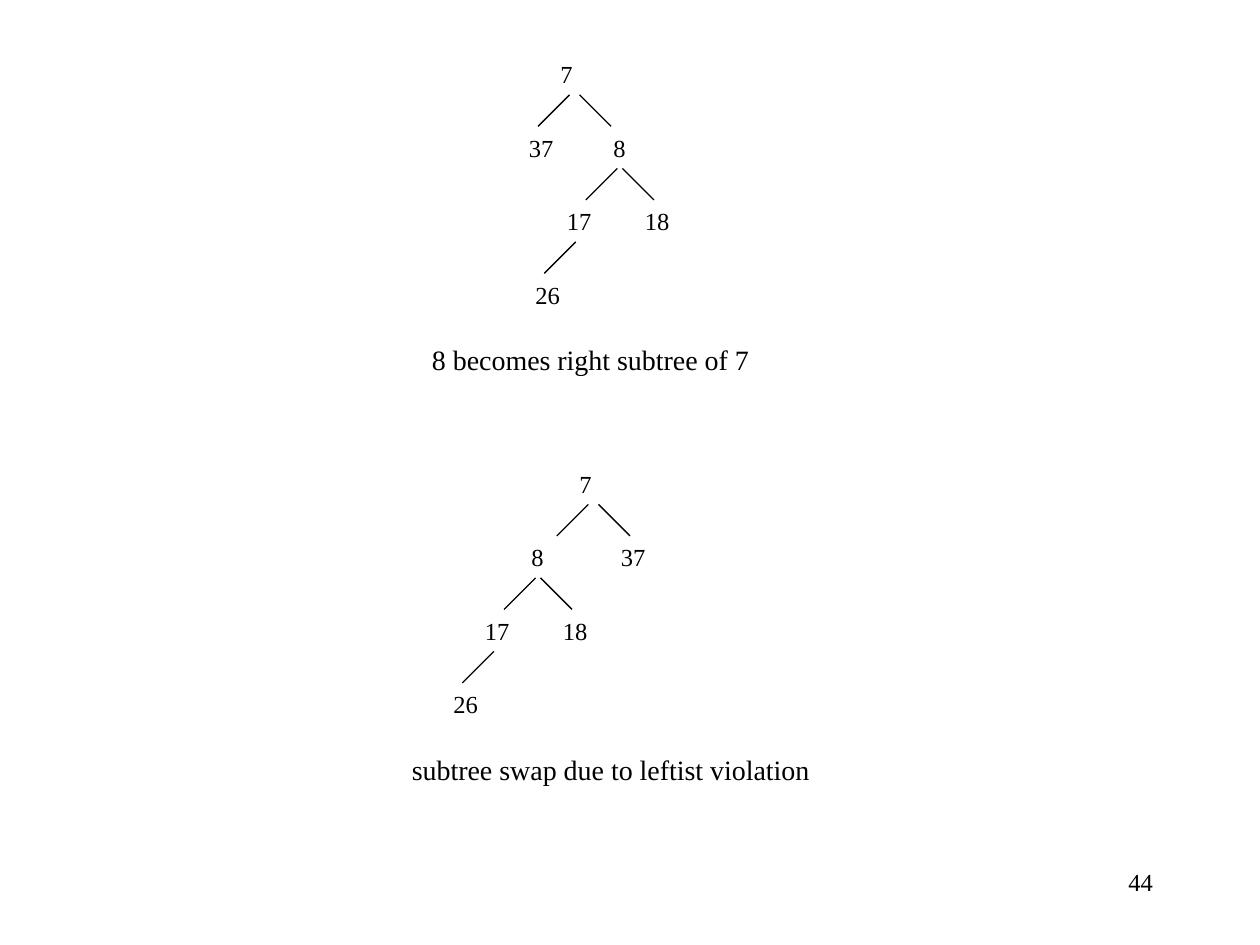
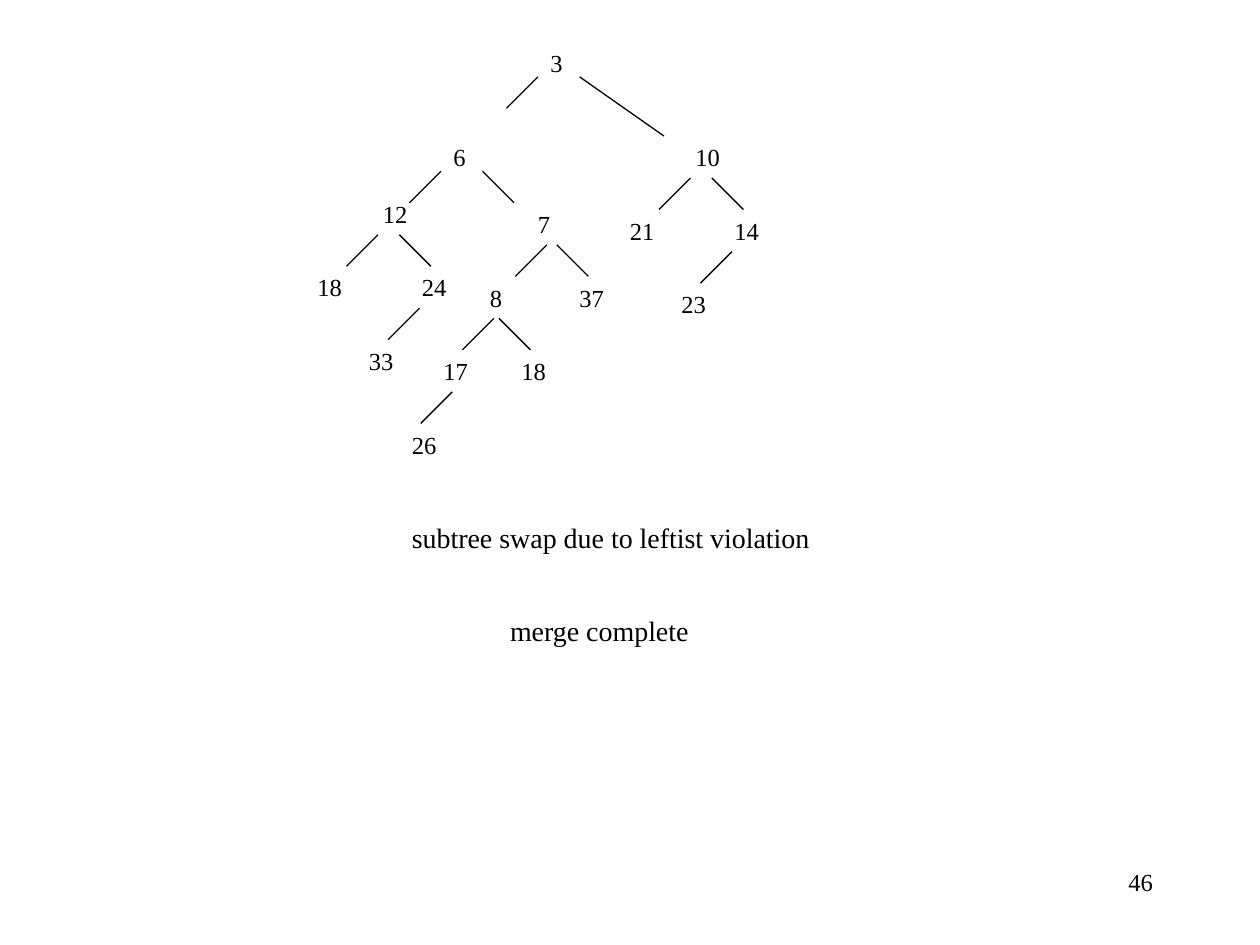
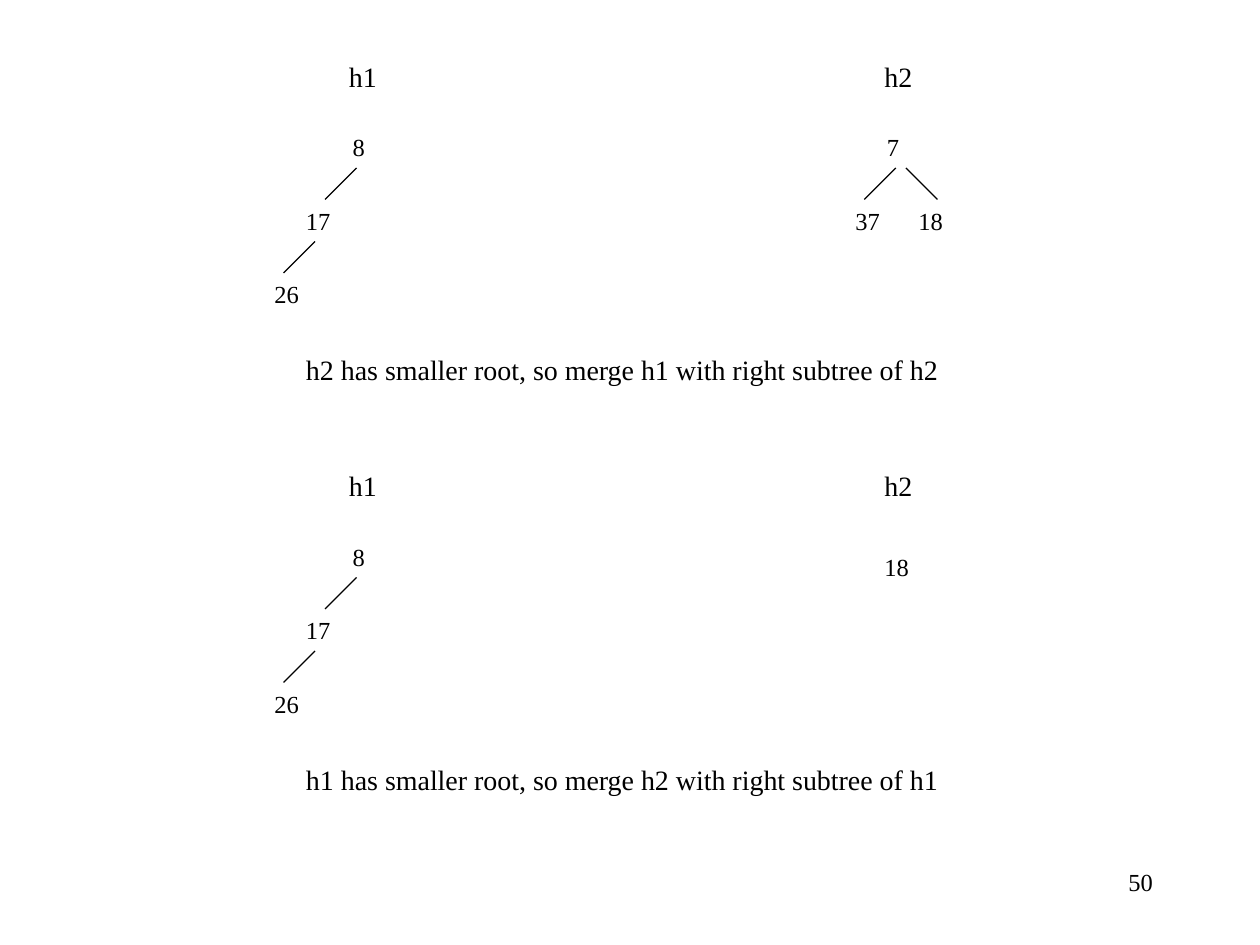
from dataclasses import dataclass

from pptx import Presentation
from pptx.dml.color import RGBColor
from pptx.enum.shapes import MSO_CONNECTOR
from pptx.enum.text import MSO_ANCHOR, MSO_AUTO_SIZE, PP_ALIGN
from pptx.oxml.ns import qn
from pptx.util import Inches, Pt

# Shared style
BLACK = RGBColor(0, 0, 0)
WHITE = RGBColor(255, 255, 255)
FONT = "Times New Roman"
NODE_SIZE = 14
CAPTION_SIZE = 16
STRAIGHT = MSO_CONNECTOR.STRAIGHT
LEFT, RIGHT = PP_ALIGN.LEFT, PP_ALIGN.RIGHT
TOP = MSO_ANCHOR.TOP
FIT_SHAPE, NO_FIT = MSO_AUTO_SIZE.SHAPE_TO_FIT_TEXT, MSO_AUTO_SIZE.NONE

# Tree geometry in inches
LEVEL = 7 / 12        # from one level of labels to the next
LABEL_HEIGHT = 1 / 3
EDGE_RUN = 0.25       # width and height of a usual edge
LOWER_HALF = 3.25     # offset of the second step on a slide


@dataclass
class Node:
    key: int
    branches: tuple = ()


@dataclass
class Branch:
    """A child and its edge, placed relative to the parent's label."""
    child: Node
    shift: float
    edge_x: float
    drop: float = LEVEL
    edge_y: float = LABEL_HEIGHT
    run: float = EDGE_RUN
    rise: float = EDGE_RUN


# Heaps
def chain_17():
    return Node(17, (Branch(Node(26), -0.25, 0.17),))


def heap_8(with_18=True):
    branches = (Branch(chain_17(), -0.37, 0.13),)
    if with_18:
        branches += (Branch(Node(18), 0.25, 0.17),)
    return Node(8, branches)


def heap_7(left, left_shift, right, right_shift):
    return Node(7, (Branch(left, left_shift, 0.17),
                    Branch(right, right_shift, 0.25)))


def swapped_heap_7():
    return heap_7(heap_8(), -0.38, Node(37), 0.33)


def wide_heap(root, left, right, leaf):
    right_node = Node(right, (Branch(Node(leaf), -0.42, 0.08),))
    return Node(root, (Branch(Node(left), -0.52, 0.06),
                       Branch(right_node, 0.31, 0.23)))


def merged_heap():
    heap_6 = Node(6, (
        Branch(wide_heap(12, 18, 24, 33), -0.56, 0, drop=0.45, edge_y=0.28),
        Branch(swapped_heap_7(), 0.67, 0.33, drop=0.53, edge_y=0.28)))
    return Node(3, (
        Branch(heap_6, -0.77, 0, drop=0.75, edge_y=0.28),
        Branch(wide_heap(10, 21, 14, 23), 1.15, 0.33, drop=0.75, edge_y=0.28,
               run=0.67, rise=0.47)))


# Elements
def add_text(slide, text, left, top, width, height, size=NODE_SIZE,
             align=LEFT, wrap=False, fit=FIT_SHAPE):
    box = slide.shapes.add_textbox(Inches(left), Inches(top),
                                   Inches(width), Inches(height))
    frame = box.text_frame
    frame.word_wrap = wrap
    frame.auto_size = fit
    frame.vertical_anchor = TOP
    paragraph = frame.paragraphs[0]
    paragraph.alignment = align
    run = paragraph.add_run()
    run.text = text
    run.font.name = FONT
    run.font.size = Pt(size)
    run.font.color.rgb = BLACK


def add_caption(slide, text, left, top, width):
    add_text(slide, text, left, top, width, 0.37, size=CAPTION_SIZE)


def add_edge(slide, x, y, run, rise):
    edge = slide.shapes.add_connector(STRAIGHT, Inches(x), Inches(y),
                                      Inches(x + run), Inches(y + rise))
    edge.line.color.rgb = BLACK
    edge.line.width = Pt(0.75)
    properties = edge.element.spPr
    properties.append(properties.makeelement(qn("a:effectLst"), {}))


def add_tree(slide, node, left, top):
    key = str(node.key)
    add_text(slide, key, left, top, 0.2 + 0.1 * len(key), LABEL_HEIGHT)
    for branch in node.branches:
        direction = -1 if branch.shift < 0 else 1
        add_edge(slide, left + branch.edge_x, top + branch.edge_y,
                 direction * branch.run, branch.rise)
        add_tree(slide, branch.child, left + branch.shift, top + branch.drop)


def add_slide(presentation, number):
    slide = presentation.slides.add_slide(presentation.slide_layouts[6])
    slide.background.fill.solid()
    slide.background.fill.fore_color.rgb = WHITE
    add_text(slide, str(number), 7.42, 6.83, 1.83, 0.5,
             align=RIGHT, wrap=True, fit=NO_FIT)
    return slide


# Slides
def build_subtree_swap(presentation):
    slide = add_slide(presentation, 44)
    add_tree(slide, heap_7(Node(37), -0.25, heap_8(), 0.42), 4.35, 0.42)
    add_caption(slide, "8 becomes right subtree of 7", 3.33, 2.67, 2.73)
    add_tree(slide, swapped_heap_7(), 4.5, 0.42 + LOWER_HALF)
    add_caption(slide, "subtree swap due to leftist violation",
                3.17, 2.67 + LOWER_HALF, 3.38)


def build_merge_complete(presentation):
    slide = add_slide(presentation, 46)
    add_tree(slide, merged_heap(), 4.27, 0.33)
    add_caption(slide, "subtree swap due to leftist violation",
                3.17, 4.08, 3.38)
    add_caption(slide, "merge complete", 3.95, 4.82, 1.63)


def build_root_comparison(presentation):
    slide = add_slide(presentation, 50)
    steps = (
        ("h2 has smaller root, so merge h1 with right subtree of h2",
         heap_7(Node(37), -0.25, Node(18), 0.25), 6.94, 1),
        ("h1 has smaller root, so merge h2 with right subtree of h1",
         Node(18), 6.92, 1.08),
    )
    for index, (caption, second_heap, left, top) in enumerate(steps):
        offset = index * LOWER_HALF
        add_caption(slide, "h1", 2.67, 0.42 + offset, 0.42)
        add_caption(slide, "h2", 6.92, 0.42 + offset, 0.42)
        add_tree(slide, heap_8(with_18=False), 2.7, 1 + offset)
        add_tree(slide, second_heap, left, top + offset)
        add_caption(slide, caption, 2.33, 2.75 + offset, 5.25)


def main():
    presentation = Presentation()
    presentation.slide_width = Inches(10)
    presentation.slide_height = Inches(7.5)
    build_subtree_swap(presentation)
    build_merge_complete(presentation)
    build_root_comparison(presentation)
    presentation.save("out.pptx")


if __name__ == "__main__":
    main()
